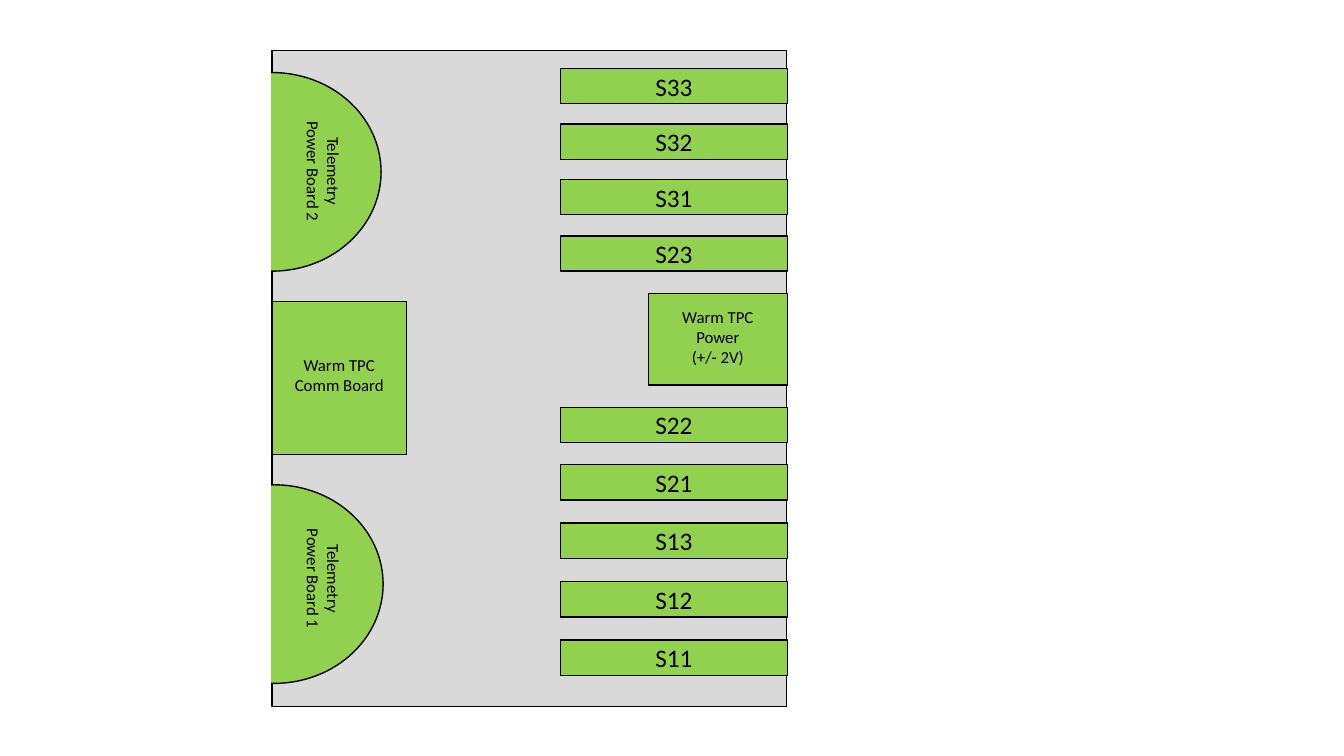
from pptx import Presentation
from pptx.dml.color import RGBColor
from pptx.enum.shapes import MSO_SHAPE
from pptx.enum.text import MSO_ANCHOR, MSO_AUTO_SIZE, PP_ALIGN
from pptx.util import Pt

PX = 9144  # 100 px to the inch
RECTANGLE, OVAL = MSO_SHAPE.RECTANGLE, MSO_SHAPE.OVAL
MIDDLE, CENTER = MSO_ANCHOR.MIDDLE, PP_ALIGN.CENTER
FIT_SHAPE = MSO_AUTO_SIZE.SHAPE_TO_FIT_TEXT
COLORS = {"panel": "D9D9D9", "board": "92D050", "ink": "000000", "paper": "FFFFFF"}

deck = Presentation()
deck.slide_width, deck.slide_height = 1333 * PX, 750 * PX
page = deck.slides.add_slide(deck.slide_layouts[6])


def add_block(kind, place, fill, line="ink"):
    block = page.shapes.add_shape(kind, *[n * PX for n in place])
    block.shadow.inherit = False
    block.fill.solid()
    block.fill.fore_color.rgb = RGBColor.from_string(COLORS[fill])
    block.line.color.rgb = RGBColor.from_string(COLORS[line])
    block.line.width = Pt(1)
    return block


def write_lines(box, lines, size):
    para = box.text_frame.paragraphs[0]
    para.alignment = CENTER
    for number, line in enumerate(lines):
        if number:
            para.add_line_break()
        span = para.add_run()
        span.text = line
        span.font.size = Pt(size)
        span.font.name = "Calibri"
        span.font.color.rgb = RGBColor.from_string(COLORS["ink"])


# Panel with the telemetry, communication and power boards
add_block(RECTANGLE, (270, 50, 510, 651), "panel")
for kind, place in [
    (OVAL, (162, 72, 216, 197)),
    (OVAL, (164, 481, 216, 197)),
    (RECTANGLE, (270, 299, 133, 152)),
    (RECTANGLE, (643, 291, 138, 91)),
]:
    add_block(kind, place, "board")

# Two evenly spaced stacks of slots
for first_top, last_top, slots in [
    (68, 234, ["S33", "S32", "S31", "S23"]),
    (404, 635, ["S22", "S21", "S13", "S12", "S11"]),
]:
    for row, name in enumerate(slots):
        top = first_top + (last_top - first_top) * row // (len(slots) - 1)
        slot = add_block(RECTANGLE, (556, top, 225, 35), "board")
        slot.text_frame.vertical_anchor = MIDDLE
        write_lines(slot, [name], 18)

# White cover turns the ovals into half discs
add_block(RECTANGLE, (135, 42, 133, 671), "paper", "paper")

# Board labels
for place, rotation, lines in [
    ((666, 299, 92, 71), 0, ["Warm TPC", "Power", "(+/- 2V)"]),
    ((282, 347, 109, 50), 0, ["Warm TPC", "Comm Board"]),
    ((261, 145, 120, 50), 90, ["Telemetry", "Power Board 2"]),
    ((261, 549, 120, 50), 90, ["Telemetry", "Power Board 1"]),
]:
    label = page.shapes.add_textbox(*[n * PX for n in place])
    label.rotation = rotation
    label.text_frame.word_wrap = False
    label.text_frame.auto_size = FIT_SHAPE
    write_lines(label, lines, 12)

deck.save("out.pptx")
